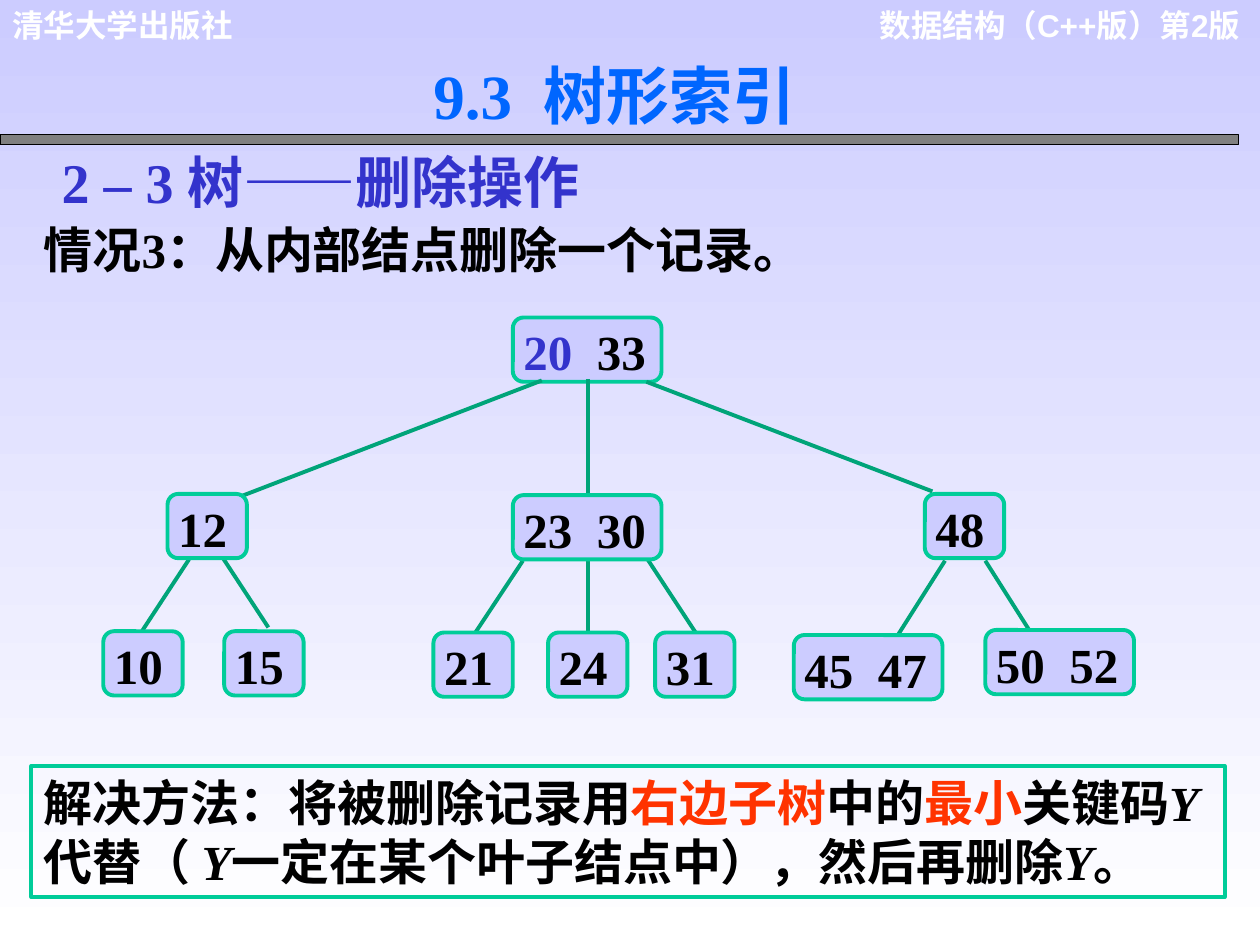
"""Build a slide on deleting a record from an inner node of a 2-3 tree."""
from lxml import etree
from pptx import Presentation
from pptx.dml.color import RGBColor
from pptx.enum.shapes import MSO_CONNECTOR, MSO_SHAPE
from pptx.enum.text import MSO_ANCHOR, PP_ALIGN
from pptx.oxml import parse_xml
from pptx.oxml.ns import qn
from pptx.util import Inches, Pt

LINE = MSO_CONNECTOR.STRAIGHT
RECT, ROUND = MSO_SHAPE.RECTANGLE, MSO_SHAPE.ROUNDED_RECTANGLE
TOP, MID = MSO_ANCHOR.TOP, MSO_ANCHOR.MIDDLE
LEFT, RIGHT, JUST = PP_ALIGN.LEFT, PP_ALIGN.RIGHT, PP_ALIGN.JUSTIFY
BLACK = RGBColor(0, 0, 0)
WHITE = RGBColor(255, 255, 255)
GRAY = RGBColor(128, 128, 128)
LILAC = RGBColor(0xCC, 0xCC, 0xFF)
SKY = RGBColor(0, 0x66, 0xFF)
BLUE = RGBColor(0x33, 0x33, 0xCC)
RED = RGBColor(0xFF, 0x33, 0)
MINT = RGBColor(0, 0xCC, 0x99)
GREEN = RGBColor(0, 0xA4, 0x79)
SERIF, SANS = "Times New Roman", "Arial"
PAD, SNUG = (0.1, 0.05, 0.1, 0.05), (0.06, 0.01, 0.02, 0.01)
SHADE = ('<a:effectLst xmlns:a="http://schemas.openxmlformats.org/drawingml/2006/main">'
         '<a:outerShdw dist="17961" dir="2700000"><a:srgbClr val="808080"/>'
         '</a:outerShdw></a:effectLst>')

TITLE = "9.3  树形索引"
LABELS = [
    ("数据结构（C++版）第2版", (6.77, 0, 3.17, 0.7), 18, SANS, WHITE, RIGHT, TOP),
    ("清华大学出版社", (0, 0, 2.71, 0.4), 18, SANS, WHITE, LEFT, TOP),
    ("2 – 3 树——删除操作", (0.39, 1.12, 4.9, 0.64), 32, SERIF, BLUE, LEFT, TOP),
    ("情况3：从内部结点删除一个记录。", (0.25, 1.69, 6.8, 0.57), 28, SERIF, BLACK, LEFT, MID),
]
METHOD = [
    ("解决方法：将被删除记录用", BLACK), ("右边子树", RED), ("中的", BLACK),
    ("最小", RED), ("关键码", BLACK), ("Y", BLACK), ("代替（ ", BLACK),
    ("Y", BLACK), ("一定在某个叶子结点中），然后再删除", BLACK),
    ("Y", BLACK), ("。", BLACK),
]
ROOT = (4.07, 2.52, [("20", BLUE), ("  33", BLACK)])
NODES = [
    (1.33, 3.92, "12"), (4.07, 3.93, "23  30"), (7.34, 3.92, "48"),
    (0.82, 5.01, "10"), (1.78, 5.01, "15"), (3.44, 5.02, "21"),
    (4.35, 5.02, "24"), (5.2, 5.02, "31"), (6.3, 5.04, "45  47"),
    (7.82, 5, "50  52"),
]
EDGES = [
    (4.3, 3.02, 1.91, 3.94), (4.67, 3.01, 4.67, 3.92), (5.13, 3.03, 7.4, 3.9),
    (1.5, 4.44, 1.12, 5.02), (1.77, 4.43, 2.13, 4.98), (4.15, 4.45, 3.76, 5.04),
    (4.67, 4.45, 4.67, 5.05), (5.14, 4.44, 5.56, 5.08), (7.5, 4.45, 7.12, 5.05),
    (7.82, 4.45, 8.2, 5.05),
]


def write(shape, runs, size, face, align=LEFT, anchor=TOP, pad=PAD, wrap=True):
    frame = shape.text_frame
    frame.word_wrap = wrap
    frame.vertical_anchor = anchor
    frame.margin_left, frame.margin_top, frame.margin_right, frame.margin_bottom = map(Inches, pad)
    para = frame.paragraphs[0]
    para.alignment = align
    para.font.size, para.font.name, para.font.bold = Pt(size), face, True
    for text, color in runs:
        run = para.add_run()
        run.text = text
        run.font.color.rgb = color
        if text == "Y":
            run.font.italic = True
    return para


def draw(slide, kind, box, fill, color, width):
    shape = slide.shapes.add_shape(kind, *map(Inches, box))
    shape.shadow.inherit = False
    if fill is None:
        shape.fill.background()
    else:
        shape.fill.solid()
        shape.fill.fore_color.rgb = fill
    shape.line.color.rgb = color
    shape.line.width = Pt(width)
    return shape


def add_node(slide, left, top, runs):
    keys = "".join(text for text, color in runs)
    width = 1.18 if " " in keys else 0.63
    node = draw(slide, ROUND, (left, top, width, 0.51), LILAC, MINT, 2.25)
    write(node, runs, 28, SERIF, JUST, pad=SNUG)


def add_edge(slide, ends):
    edge = slide.shapes.add_connector(LINE, *map(Inches, ends))
    edge.line.color.rgb = GREEN
    edge.line.width = Pt(2.25)
    etree.SubElement(edge._element.spPr, qn("a:effectLst"))


def main():
    deck = Presentation()
    deck.slide_width, deck.slide_height = Inches(10), Inches(7.5)
    slide = deck.slides.add_slide(deck.slide_layouts[5])
    back = slide.background.fill
    back.gradient()
    back.gradient_angle = 270
    for stop, color in zip(back.gradient_stops, (LILAC, WHITE)):
        stop.color.rgb = color

    title = slide.shapes.title
    title.left, title.top, title.width, title.height = map(Inches, (3.34, 0.4, 4.08, 0.7))
    para = write(title, [(TITLE, SKY)], 36, SERIF)
    fill = para.runs[0]._r.get_or_add_rPr().find(qn("a:solidFill"))
    fill.addnext(parse_xml(SHADE))

    draw(slide, RECT, (0, 1.07, 9.83, 0.08), GRAY, BLACK, 0.75)
    for text, box, size, face, color, align, anchor in LABELS:
        label = slide.shapes.add_textbox(*map(Inches, box))
        write(label, [(text, color)], size, face, align, anchor)
    panel = draw(slide, RECT, (0.25, 6.08, 9.47, 1.04), None, MINT, 2.25)
    write(panel, METHOD, 28, SERIF, anchor=MID)

    add_node(slide, *ROOT)
    for ends in EDGES:
        add_edge(slide, ends)
    for left, top, keys in NODES:
        add_node(slide, left, top, [(keys, BLACK)])
    deck.save("out.pptx")


if __name__ == "__main__":
    main()
